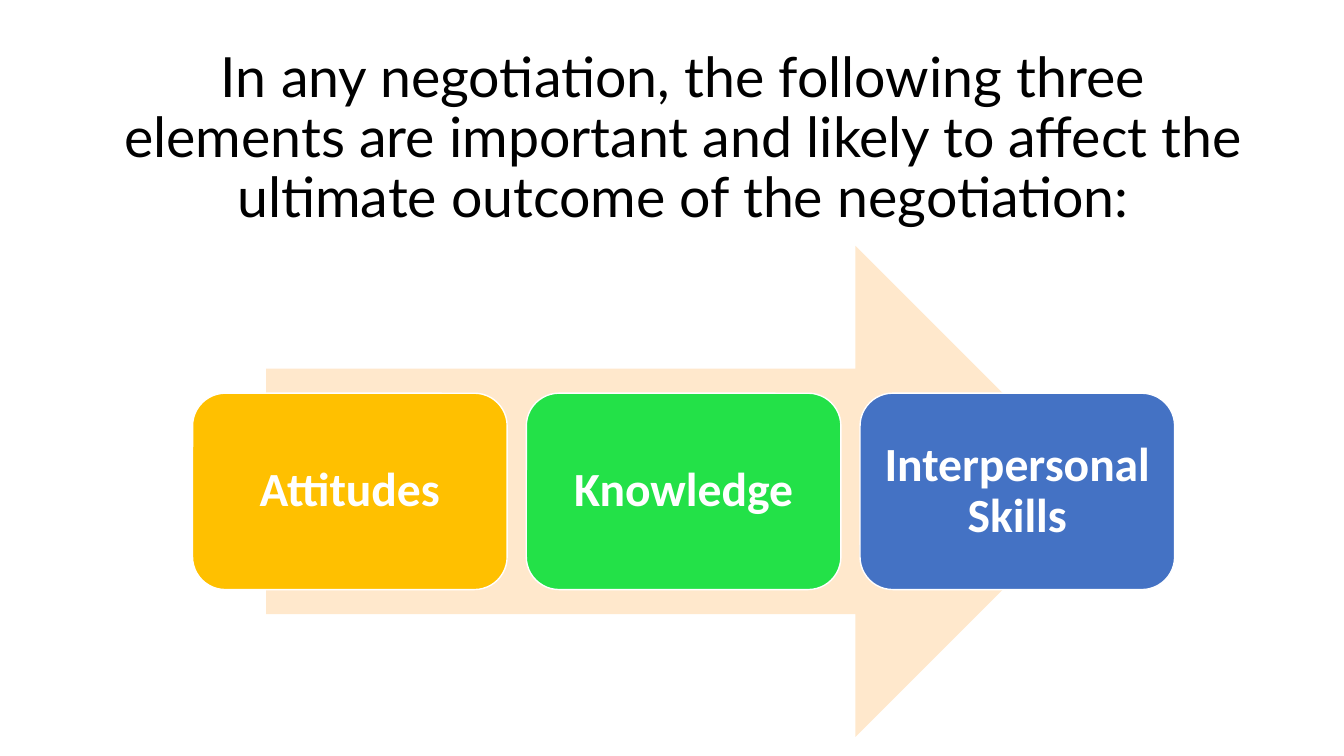
from dataclasses import dataclass

from pptx import Presentation
from pptx import util as u
from pptx.dml.color import RGBColor
from pptx.enum import shapes, text


@dataclass(frozen=True)
class Theme:
    ink: str = "000000"
    white: str = "FFFFFF"
    arrow: str = "FFE8CC"
    title_font: str = "Lato"
    card_font: str = "Calibri"
    title_size: float = 39.6
    card_size: float = 34


@dataclass(frozen=True)
class Box:
    left: float
    top: float
    width: float
    height: float

    def lengths(self):
        return [u.Inches(side) for side in (self.left, self.top, self.width, self.height)]


THEME = Theme()
TITLE = (
    "In any negotiation, the following three elements are important "
    "and likely to affect the ultimate outcome of the negotiation:"
)
ELEMENTS = [
    ("Attitudes", "FFC000"),
    ("Knowledge", "23E148"),
    ("Interpersonal Skills", "4472C4"),
]


def apply_format(target, values):
    for name, value in values.items():
        setattr(target, name, value)


def write_text(shape, wording, color, inset, font):
    frame = shape.text_frame
    frame.text = wording
    apply_format(frame, {
        "word_wrap": True,
        "auto_size": text.MSO_AUTO_SIZE.NONE,
        "vertical_anchor": text.MSO_ANCHOR.MIDDLE,
        "margin_left": inset,
        "margin_right": inset,
        "margin_top": inset,
        "margin_bottom": inset,
    })
    para = frame.paragraphs[0]
    apply_format(para, {"alignment": text.PP_ALIGN.CENTER, "line_spacing": 0.9})
    span = para.runs[0]
    apply_format(span.font, font)
    span.font.color.rgb = RGBColor.from_string(color)


def add_title(slide, box):
    title = slide.shapes.title
    names = ("left", "top", "width", "height")
    apply_format(title, dict(zip(names, box.lengths())))
    write_text(title, TITLE, THEME.ink, u.Inches(0.1), {
        "name": THEME.title_font, "size": u.Pt(THEME.title_size), "bold": False,
    })


def add_filled(slide, kind, box, color):
    shape = slide.shapes.add_shape(kind, *box.lengths())
    shape.shadow.inherit = False
    shape.fill.solid()
    shape.fill.fore_color.rgb = RGBColor.from_string(color)
    return shape


def add_card(slide, box, label, color):
    card = add_filled(slide, shapes.MSO_SHAPE.ROUNDED_RECTANGLE, box, color)
    card.line.color.rgb = RGBColor.from_string(THEME.white)
    card.line.width = u.Pt(1)
    write_text(card, label, THEME.white, u.Inches(0.14), {
        "name": THEME.card_font, "size": u.Pt(THEME.card_size), "bold": True,
    })


def add_process(slide, box):
    arrow_width = box.width * 0.85
    arrow_box = Box(box.left + (box.width - arrow_width) / 2, box.top, arrow_width, box.height)
    arrow = add_filled(slide, shapes.MSO_SHAPE.RIGHT_ARROW, arrow_box, THEME.arrow)
    arrow.line.fill.background()

    gap = 0.19
    card_width = (box.width - gap * (len(ELEMENTS) - 1)) / len(ELEMENTS)
    card_height = box.height * 0.4
    card_top = box.top + (box.height - card_height) / 2
    for index, (label, color) in enumerate(ELEMENTS):
        card_left = box.left + index * (card_width + gap)
        add_card(slide, Box(card_left, card_top, card_width, card_height), label, color)


def main():
    deck = Presentation()
    deck.slide_width = u.Inches(13.33)
    deck.slide_height = u.Inches(7.5)
    slide = deck.slides.add_slide(deck.slide_layouts[5])
    add_title(slide, Box(0.98, 0.4, 11.59, 1.97))
    add_process(slide, Box(1.91, 2.44, 9.74, 4.87))
    deck.save("out.pptx")


if __name__ == "__main__":
    main()
